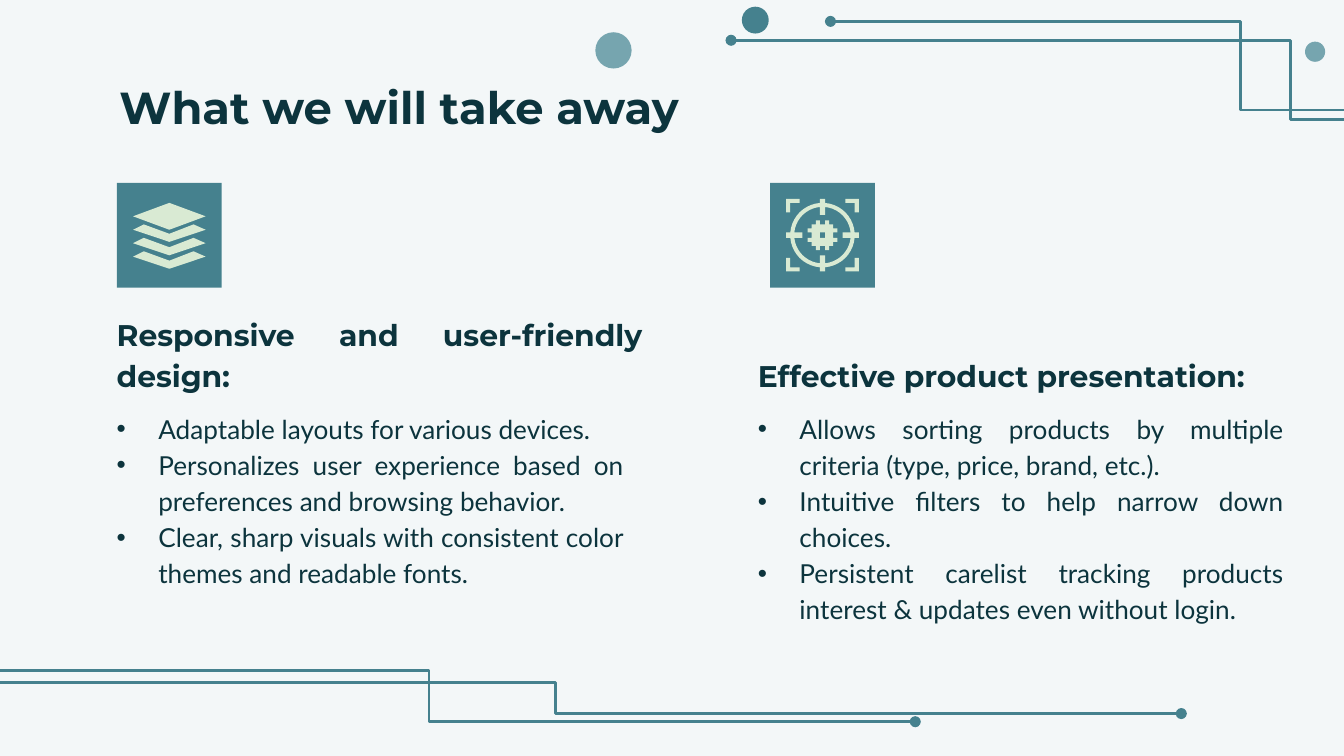
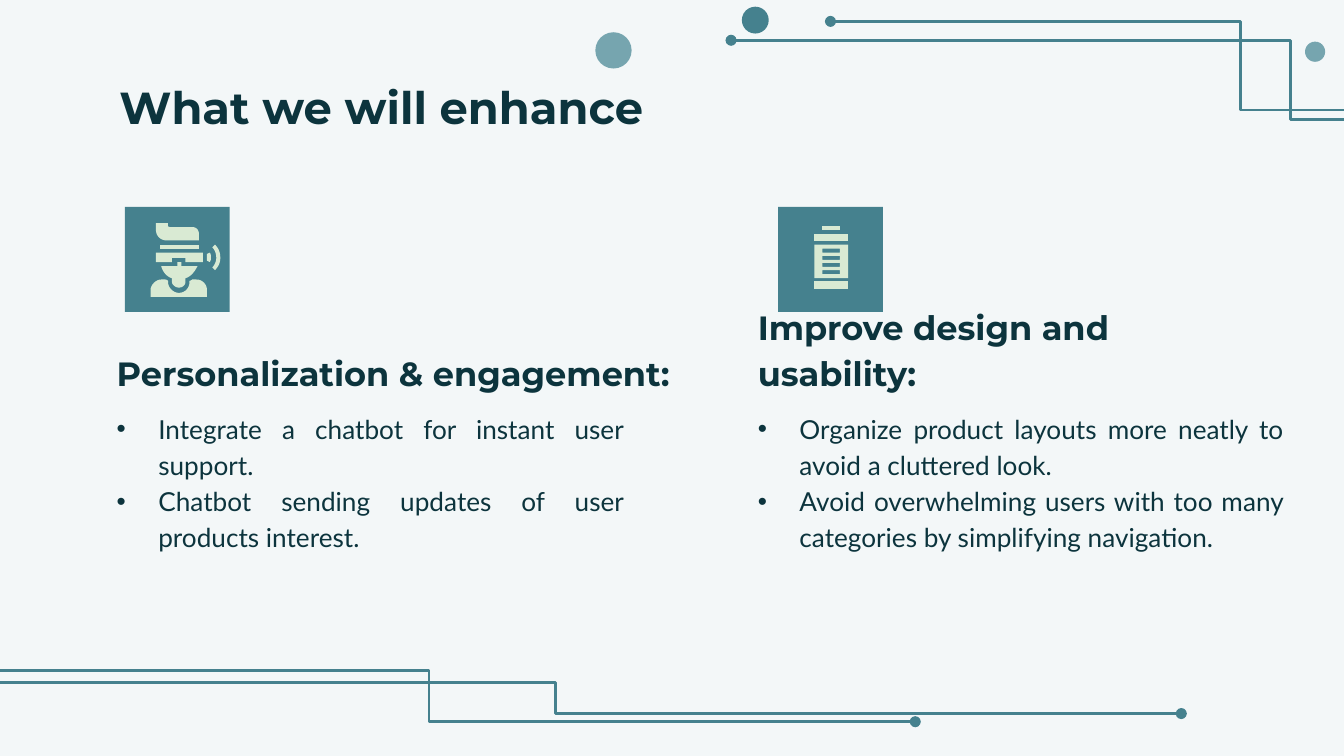
"""Builds two slides on what the team takes away and what it will enhance."""
import math

from lxml import etree
from pptx import Presentation
from pptx.dml.color import RGBColor
from pptx.enum import shapes, text
from pptx.oxml import ns
from pptx.util import Inches, Pt

INK, TEAL, MIST, MINT, PAPER = "0C343D", "45818E", "76A5AF", "D9EAD3", "F3F7F8"
HEADING_FONT, BODY_FONT = "Montserrat", "Lato"
TILE = 0.78
LEFT, RIGHT = 0.77, 5.54

DOTS = [(4.43, 0.24, 0.27, MIST), (5.52, 0.05, 0.2, TEAL), (9.71, 0.31, 0.15, MIST)]
CIRCUITS = [
    ((10.57, 0.89), (5.44, 0.3), 9.6),
    ((10.71, 0.82), (6.18, 0.16), 9.23),
    ((-0.54, 5.08), (8.79, 5.31), 4.13),
    ((-0.44, 4.99), (6.81, 5.37), 3.19),
]

HAIR = [(0.23, 0.12), (0.23, 0.17), (0.23, 0.21, 0.26, 0.25, 0.31, 0.25), (0.55, 0.25),
        (0.55, 0.2), (0.55, 0.17, 0.53, 0.15, 0.5, 0.15), (0.34, 0.15),
        (0.33, 0.15, 0.32, 0.15, 0.32, 0.14), (0.32, 0.12)]
HEADSET = [(0.23, 0.34), (0.23, 0.41), (0.35, 0.41), (0.35, 0.38),
           (0.45, 0.38), (0.45, 0.41), (0.58, 0.41), (0.58, 0.34)]
LARGE_WAVE = [(0.67, 0.28), (0.65, 0.3), (0.67, 0.32, 0.68, 0.35, 0.68, 0.38),
              (0.68, 0.4, 0.67, 0.43, 0.65, 0.45), (0.67, 0.47),
              (0.7, 0.44, 0.71, 0.41, 0.71, 0.38), (0.71, 0.34, 0.7, 0.31, 0.67, 0.28)]
SMALL_WAVE = [(0.63, 0.34), (0.61, 0.35), (0.61, 0.36, 0.61, 0.39, 0.61, 0.4), (0.63, 0.41),
              (0.64, 0.4, 0.64, 0.39, 0.64, 0.38), (0.64, 0.36, 0.64, 0.35, 0.63, 0.34)]
SHOULDERS = [(0.27, 0.54), (0.23, 0.54, 0.19, 0.58, 0.19, 0.62), (0.19, 0.67), (0.61, 0.67),
             (0.61, 0.62), (0.61, 0.58, 0.58, 0.54, 0.53, 0.54), (0.5, 0.54),
             (0.5, 0.54, 0.49, 0.55, 0.48, 0.55), (0.48, 0.56),
             (0.48, 0.6, 0.45, 0.64, 0.4, 0.64), (0.36, 0.64, 0.32, 0.6, 0.32, 0.56),
             (0.32, 0.55), (0.32, 0.55, 0.31, 0.54, 0.3, 0.54)]
FACE = [(0.39, 0.41), (0.39, 0.44), (0.27, 0.44), (0.28, 0.48, 0.31, 0.52, 0.35, 0.53),
        (0.35, 0.56), (0.35, 0.58, 0.38, 0.6, 0.4, 0.6), (0.43, 0.6, 0.45, 0.58, 0.45, 0.56),
        (0.45, 0.53), (0.49, 0.52, 0.52, 0.48, 0.54, 0.44), (0.42, 0.44), (0.42, 0.41)]


def color(hex_string):
    """Return the colour for a hex string."""
    return RGBColor.from_string(hex_string)


def paint(shape, fill):
    """Give a shape a plain fill without line or shadow."""
    shape.shadow.inherit = False
    shape.fill.solid()
    shape.fill.fore_color.rgb = color(fill)
    shape.line.fill.background()


def add_preset(slide, kind, left, top, size, fill):
    """Add a square-framed preset shape."""
    paint(slide.shapes.add_shape(kind, Inches(left), Inches(top), Inches(size), Inches(size)), fill)


def add_circuit(slide, start, end, bend):
    """Add an elbow line that turns at the x position bend and ends in a dot."""
    connector = slide.shapes.add_connector(
        shapes.MSO_CONNECTOR.ELBOW, *(Inches(value) for value in start + end))
    connector.line.color.rgb = color(TEAL)
    connector.line.width = Pt(1.5)
    properties = connector._element.spPr
    guides = properties.find(ns.qn("a:prstGeom")).get_or_add_avLst()
    ratio = (bend - start[0]) / (end[0] - start[0])
    etree.SubElement(guides, ns.qn("a:gd"), name="adj1", fmla=f"val {round(ratio * 100000)}")
    etree.SubElement(connector.line._get_or_add_ln(), ns.qn("a:tailEnd"), type="oval")
    etree.SubElement(properties, ns.qn("a:effectLst"))


def flatten(contour, steps=8):
    """Turn a contour of points and cubic curves into points."""
    points = []
    for node in contour:
        if len(node) == 2:
            points.append(node)
            continue
        controls = [points[-1], node[:2], node[2:4], node[4:]]
        for step in range(1, steps + 1):
            t = step / steps
            weights = ((1 - t) ** 3, 3 * t * (1 - t) ** 2, 3 * t * t * (1 - t), t ** 3)
            points.append(tuple(sum(w * p[axis] for w, p in zip(weights, controls))
                                for axis in (0, 1)))
    return points


def add_outline(slide, left, top, contours):
    """Add one freeform whose contours are offsets from left and top."""
    builder = None
    for contour in contours:
        points = [(Inches(left + x), Inches(top + y)) for x, y in flatten(contour)]
        if builder is None:
            builder = slide.shapes.build_freeform(*points[0])
        else:
            builder.move_to(*points[0])
        builder.add_line_segments(points[1:], close=True)
    paint(builder.convert_to_shape(), MINT)


def box(left, top, width, height):
    """Return the contour of a rectangle."""
    right, bottom = left + width, top + height
    return [(left, top), (left, bottom), (right, bottom), (right, top)]


def turn(points, quarters):
    """Turn points around zero by quarter turns."""
    for _ in range(quarters):
        points = [(-y, x) for x, y in points]
    return points


def four_turns(points):
    """Join a quarter outline into a full one."""
    return [point for quarters in range(4) for point in turn(points, quarters)]


def crosshair_contour(tip, radius, half=0.02, steps=10):
    """Return a circle interrupted by four ticks that reach the tip distance."""
    margin = math.asin(half / radius)
    angles = [margin + (math.pi / 2 - 2 * margin) * step / steps for step in range(steps + 1)]
    arc = [(radius * math.sin(angle), -radius * math.cos(angle)) for angle in angles]
    return four_turns([(-half, -tip), (half, -tip)] + arc)


def layers_icon():
    """Return the outlines of four stacked layers."""
    outlines = [[[(0.12, 0.25), (0.39, 0.15), (0.66, 0.25), (0.39, 0.35)]]]
    chevron = [(0.2, 0.31), (0.12, 0.35), (0.39, 0.44), (0.66, 0.35), (0.57, 0.31), (0.39, 0.38)]
    for level in range(3):
        outlines.append([[(x, y + 0.1 * level) for x, y in chevron]])
    return outlines


def target_icon():
    """Return the outlines of a framed target with a chip in it."""
    corner = [(-0.27, -0.27), (-0.27, -0.17), (-0.24, -0.17),
              (-0.24, -0.24), (-0.17, -0.24), (-0.17, -0.27)]
    chip = [(0.02, -0.08), (0.02, -0.11), (0.05, -0.11), (0.05, -0.08), (0.08, -0.08),
            (0.08, -0.05), (0.11, -0.05), (0.11, -0.02), (0.08, -0.02)]
    outlines = [[crosshair_contour(0.27, 0.24), crosshair_contour(0.15, 0.21)]]
    outlines += [[turn(corner, quarters)] for quarters in range(4)]
    outlines.append([four_turns(chip), box(-0.02, -0.02, 0.04, 0.04)])
    middle = TILE / 2
    return [[[(x + middle, y + middle) for x, y in contour] for contour in outline]
            for outline in outlines]


def headset_icon():
    """Return the outlines of a person with a headset."""
    parts = [HAIR, HEADSET, LARGE_WAVE, SMALL_WAVE, SHOULDERS, FACE, box(0.26, 0.28, 0.29, 0.03)]
    return [[part] for part in parts]


def battery_icon():
    """Return the outlines of a battery with four slots."""
    slots = [box(0.33, 0.31 + 0.16 / 3 * row, 0.13, 0.03) for row in range(4)]
    return [[box(0.27, 0.2, 0.25, 0.05)], [box(0.27, 0.55, 0.25, 0.06)],
            [box(0.27, 0.28, 0.25, 0.25)] + slots, [box(0.33, 0.14, 0.13, 0.03)]]


def add_icon(slide, left, top, outlines):
    """Add a square tile with an icon on it."""
    add_preset(slide, shapes.MSO_SHAPE.RECTANGLE, left, top, TILE, TEAL)
    for contours in outlines:
        add_outline(slide, left, top, contours)


def add_text(slide, frame, lines, font, size, bold=False, justify=False, bottom=False,
             spacing=1.0, bullets=False):
    """Add a text box with one paragraph for each line."""
    text_frame = slide.shapes.add_textbox(*(Inches(value) for value in frame)).text_frame
    text_frame.word_wrap = True
    text_frame.vertical_anchor = text.MSO_ANCHOR.BOTTOM if bottom else text.MSO_ANCHOR.TOP
    for side in ("left", "top", "right", "bottom"):
        setattr(text_frame, f"margin_{side}", Inches(0.1))
    for index, line in enumerate(lines):
        paragraph = text_frame.add_paragraph() if index else text_frame.paragraphs[0]
        paragraph.text = line
        paragraph.alignment = text.PP_ALIGN.JUSTIFY if justify else text.PP_ALIGN.LEFT
        paragraph.line_spacing = spacing
        paragraph.font.name, paragraph.font.size = font, Pt(size)
        paragraph.font.bold = bold
        paragraph.font.color.rgb = color(INK)
        if bullets:
            add_bullet(paragraph)


def add_bullet(paragraph):
    """Give a paragraph a hanging bullet."""
    properties = paragraph._p.get_or_add_pPr()
    properties.set("marL", str(Inches(0.31)))
    properties.set("indent", str(-Inches(0.31)))
    bullet_color = etree.SubElement(properties, ns.qn("a:buClr"))
    etree.SubElement(bullet_color, ns.qn("a:srgbClr"), val=INK)
    etree.SubElement(properties, ns.qn("a:buFont"), typeface="Arial")
    etree.SubElement(properties, ns.qn("a:buChar"), char="•")
    defaults = properties.find(ns.qn("a:defRPr"))
    if defaults is not None:
        properties.append(defaults)


def add_column(slide, left, width, heading, heading_size, heading_width, justify, points):
    """Add a heading and its bullet points."""
    add_text(slide, (left, 2.94, width, 0.94), points, BODY_FONT, 14,
             justify=True, spacing=1.15, bullets=True)
    add_text(slide, (left, 2.6, heading_width, 0.43), [heading], HEADING_FONT, heading_size,
             bold=True, justify=justify, bottom=True, spacing=1.15)


def add_slide(presentation, title):
    """Add a slide with the shared background, decoration and title."""
    slide = presentation.slides.add_slide(presentation.slide_layouts[6])
    slide.background.fill.solid()
    slide.background.fill.fore_color.rgb = color(PAPER)
    for left, top, size, fill in DOTS:
        add_preset(slide, shapes.MSO_SHAPE.OVAL, left, top, size, fill)
    for circuit in CIRCUITS:
        add_circuit(slide, *circuit)
    add_text(slide, (0.79, 0.49, 4.41, 0.63), [title], HEADING_FONT, 24, bold=True)
    return slide


def main():
    """Build and save the presentation."""
    presentation = Presentation()
    presentation.slide_width = Inches(10)
    presentation.slide_height = Inches(10 * 9 / 16)

    slide = add_slide(presentation, "What we will take away")
    add_icon(slide, 0.87, 1.36, layers_icon())
    add_icon(slide, 5.73, 1.36, target_icon())
    add_column(slide, LEFT, 3.97, "Responsive and user-friendly design:", 16, 4.11, True, [
        "Adaptable layouts for various devices.",
        "Personalizes user experience based on preferences and browsing behavior.",
        "Clear, sharp visuals with consistent color themes and readable fonts."])
    add_column(slide, RIGHT, 4.11, "Effective product presentation:", 16, 3.97, False, [
        "Allows sorting products by multiple criteria (type, price, brand, etc.).",
        "Intuitive filters to help narrow down choices.",
        "Persistent carelist tracking products interest & updates even without login."])

    slide = add_slide(presentation, "What we will enhance")
    add_icon(slide, 0.93, 1.54, headset_icon())
    add_icon(slide, 5.79, 1.54, battery_icon())
    add_column(slide, LEFT, 3.97, "Personalization & engagement:", 18, 4.64, True, [
        "Integrate a chatbot for instant user support.",
        "Chatbot sending updates of user products interest."])
    add_column(slide, RIGHT, 4.11, "Improve design and usability:", 18, 3.97, False, [
        "Organize product layouts more neatly to avoid a cluttered look.",
        "Avoid overwhelming users with too many categories by simplifying navigation."])

    presentation.save("out.pptx")


if __name__ == "__main__":
    main()
